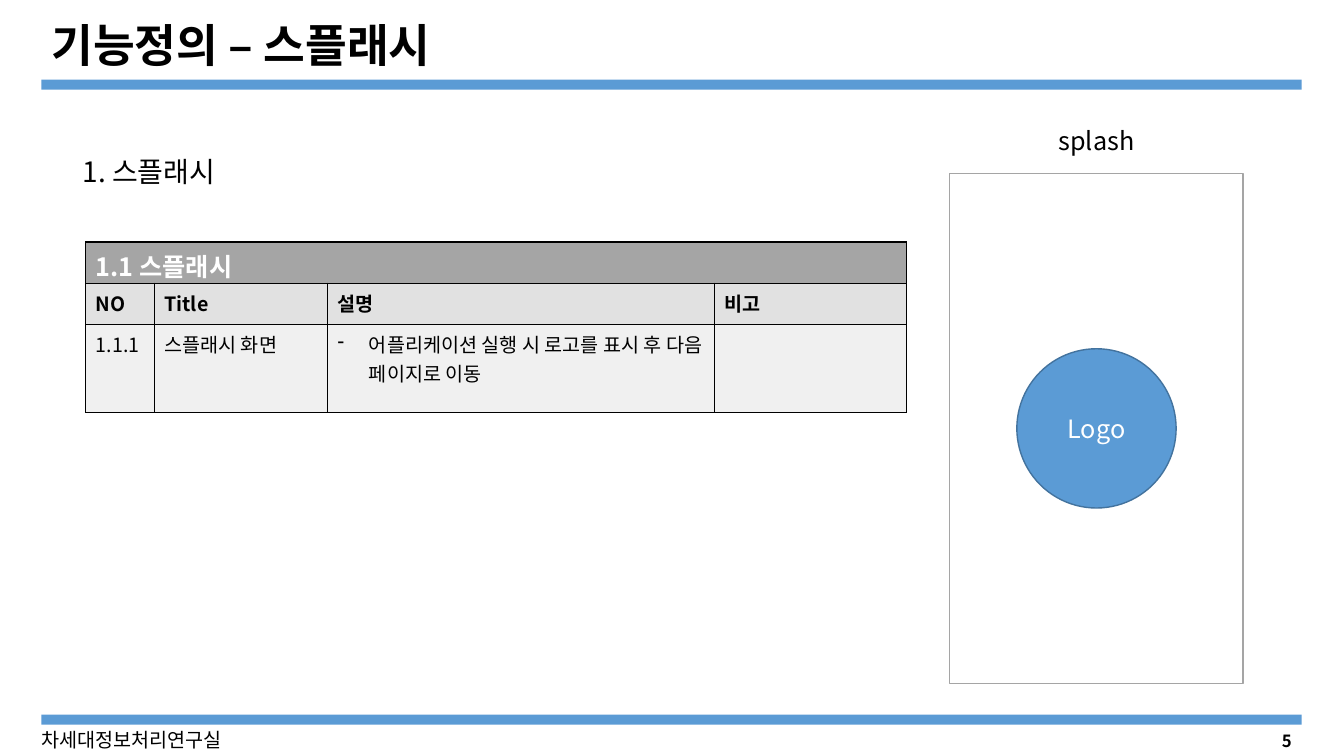
from pptx import Presentation
from pptx.dml.color import RGBColor
from pptx.enum.shapes import MSO_SHAPE as Shape
from pptx.enum.text import MSO_ANCHOR as Anchor, MSO_AUTO_SIZE as AutoSize, PP_ALIGN as Align
from pptx.oxml.ns import qn
from pptx.util import Inches, Pt
from lxml.etree import SubElement

FONT = "Noto Sans CJK KR"
BLUE, GRAY, BLACK, WHITE = "5B9BD5", "A5A5A5", "000000", "FFFFFF"


def color(hex_code):
    return RGBColor.from_string(hex_code)


def write(frame, text, size=14, ink=BLACK, bold=False, align=Align.LEFT, anchor=None, spacing=None):
    frame.word_wrap = True
    if anchor is not None:
        frame.vertical_anchor = anchor
    para = frame.paragraphs[0]
    para.alignment = align
    if spacing:
        para.line_spacing = spacing
    run = para.add_run()
    run.text = text
    run.font.name, run.font.size, run.font.bold = FONT, Pt(size), bold
    run.font.color.rgb = color(ink)
    SubElement(run.font._element, qn("a:ea"), typeface=FONT)
    return para


def add_label(slide, box, text, **style):
    label = slide.shapes.add_textbox(*map(Inches, box))
    write(label.text_frame, text, **style)


def add_figure(slide, kind, box, fill, outline=None):
    figure = slide.shapes.add_shape(kind, *map(Inches, box))
    figure.shadow.inherit = False
    figure.fill.solid()
    figure.fill.fore_color.rgb = color(fill)
    if outline:
        figure.line.color.rgb = color(outline)
        figure.line.width = Pt(1)
    else:
        figure.line.fill.background()
    return figure


def add_frame(slide, left, width, title, lab, number):
    # Rules under the title and above the footer
    for top in (0.79, 7.09):
        add_figure(slide, Shape.RECTANGLE, (left, top, width, 0.1), BLUE)
    # Title
    heading = slide.shapes.title
    heading.left, heading.top, heading.width, heading.height = map(Inches, (left, 0.16, 10.01, 0.62))
    heading.text_frame.auto_size = AutoSize.NONE
    write(heading.text_frame, title, size=32.4, bold=True, anchor=Anchor.MIDDLE, spacing=0.9)
    # Footer
    add_label(slide, (left - 0.1, 7.17, 2.74, 0.34), lab)
    add_label(slide, (left + width - 3, 7.2, 3, 0.3), number, size=12, bold=True,
              align=Align.RIGHT, anchor=Anchor.MIDDLE)


def style_cell(cell, fill):
    props = cell._tc.get_or_add_tcPr()
    for side in ("a:lnL", "a:lnR", "a:lnT", "a:lnB"):
        border = SubElement(props, qn(side), w=str(Pt(1)))
        SubElement(SubElement(border, qn("a:solidFill")), qn("a:srgbClr"), val=BLACK)
    cell.fill.solid()
    cell.fill.fore_color.rgb = color(fill)


def add_dash(para):
    props = para._p.get_or_add_pPr()
    props.set("marL", str(Inches(0.31)))
    props.set("indent", str(-Inches(0.31)))
    SubElement(props, qn("a:buChar"), char="-")


def add_spec_table(slide, left, top, section, headers, features):
    widths = (0.68, 1.72, 3.84, 1.9)
    heights = [0.41, 0.41] + [0.87] * len(features)
    table = slide.shapes.add_table(len(heights), len(widths), Inches(left), Inches(top),
                                   Inches(sum(widths)), Inches(sum(heights))).table
    for column, width in zip(table.columns, widths):
        column.width = Inches(width)
    for row, height in zip(table.rows, heights):
        row.height = Inches(height)

    # Section row spans the table
    for cell in table.rows[0].cells:
        style_cell(cell, GRAY)
    banner = table.cell(0, 0)
    banner.merge(table.cell(0, len(widths) - 1))
    banner.margin_bottom = 0
    write(banner.text_frame, section, size=18, ink=WHITE, bold=True)

    # Header and feature rows
    for r, texts in enumerate([headers, *features], start=1):
        for c, text in enumerate(texts):
            cell = table.cell(r, c)
            style_cell(cell, "E1E1E1" if r == 1 else "F0F0F0")
            para = write(cell.text_frame, text, bold=r == 1) if text else None
            if para and r > 1 and headers[c] == "설명":
                add_dash(para)


def add_phone(slide, left, top, width, height, caption, logo_text):
    add_figure(slide, Shape.RECTANGLE, (left, top, width, height), WHITE, GRAY)
    # Logo circle in the middle of the screen
    size = 1.58
    circle = (left + (width - size) / 2, top + (height - size) / 2, size, size)
    logo = add_figure(slide, Shape.OVAL, circle, BLUE, "43739E")
    write(logo.text_frame, logo_text, size=18, ink=WHITE, align=Align.CENTER, anchor=Anchor.MIDDLE)
    # Caption above the screen
    add_label(slide, (left - 0.24, top - 0.53, width + 0.48, 0.4), caption, size=18, align=Align.CENTER)


def main():
    deck = Presentation()
    deck.slide_width, deck.slide_height = Inches(13.33), Inches(7.5)
    slide = deck.slides.add_slide(deck.slide_layouts[5])
    add_frame(slide, 0.41, 12.5, "기능정의 – 스플래시", "차세대정보처리연구실", "5")
    add_label(slide, (0.72, 1.32, 12.07, 0.54), "1. 스플래시", size=20, align=Align.JUSTIFY, spacing=1.5)
    add_phone(slide, 9.42, 1.72, 2.91, 5.06, "splash", "Logo")
    add_spec_table(slide, 0.85, 2.4, "1.1 스플래시", ("NO", "Title", "설명", "비고"), [
        ("1.1.1", "스플래시 화면", "어플리케이션 실행 시 로고를 표시 후 다음 페이지로 이동", ""),
    ])
    deck.save("out.pptx")


if __name__ == "__main__":
    main()
